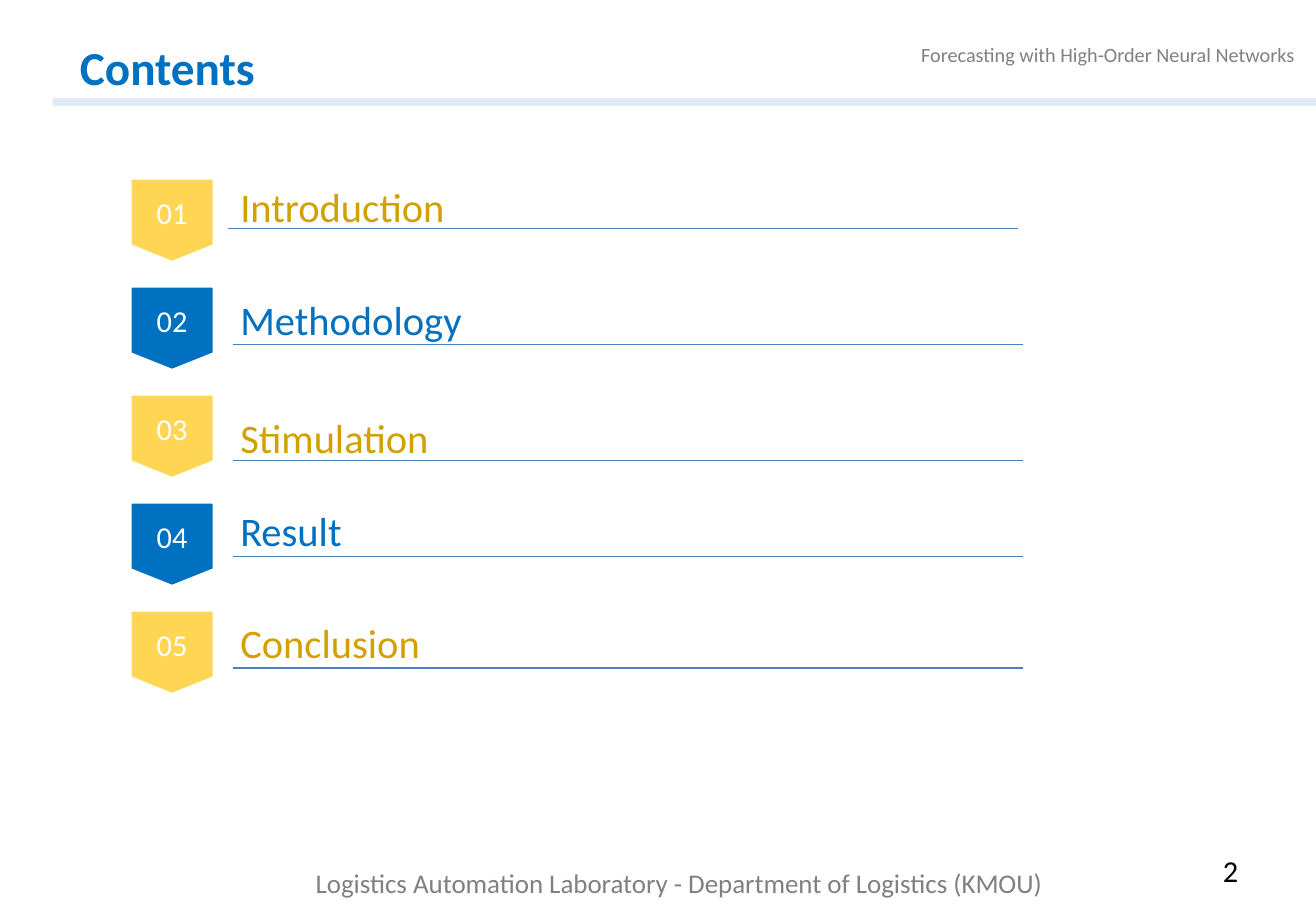
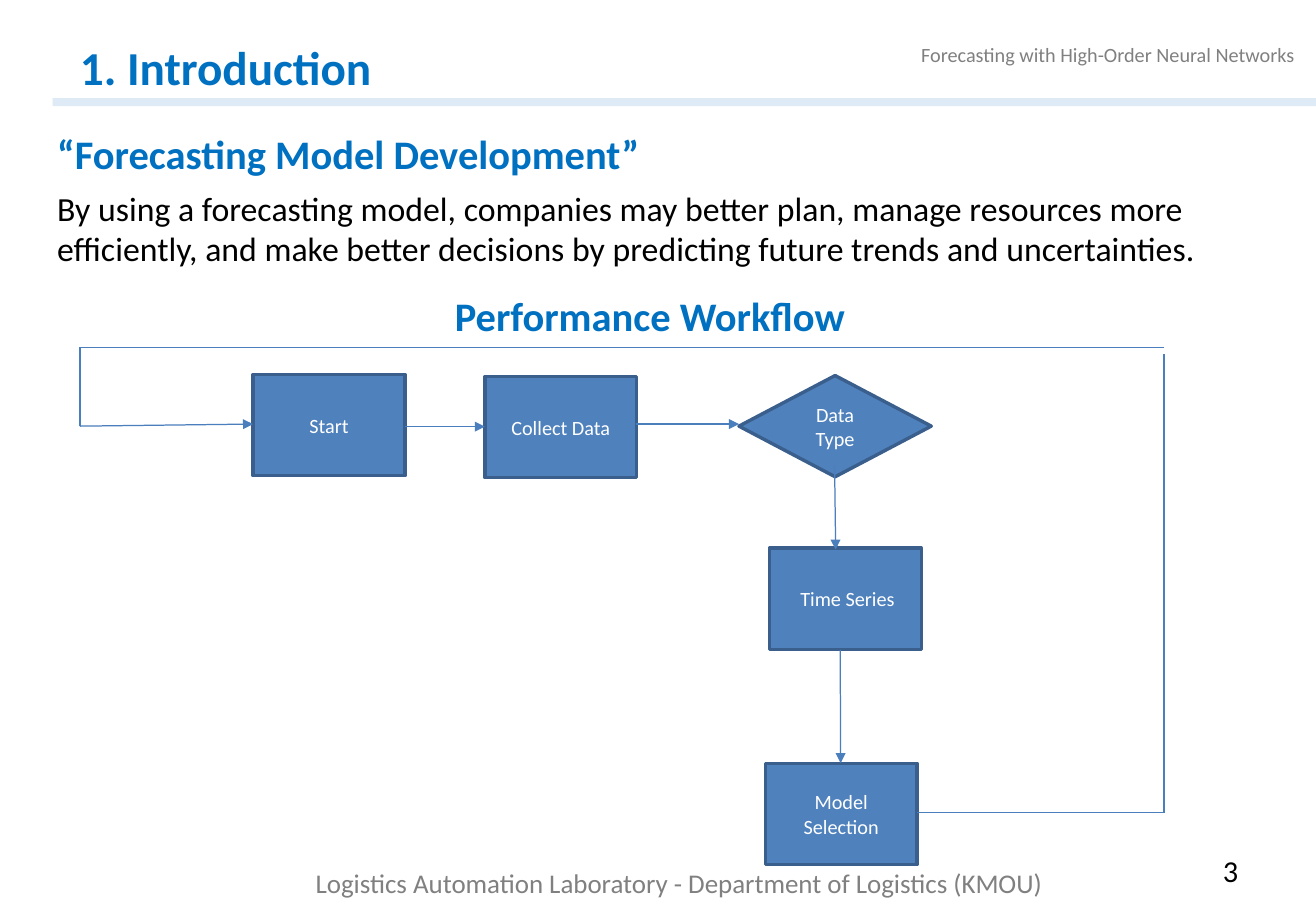
from lxml import etree
from pptx import Presentation
from pptx.dml.color import RGBColor
from pptx.enum.shapes import MSO_CONNECTOR, MSO_SHAPE
from pptx.enum.text import MSO_ANCHOR, MSO_AUTO_SIZE, PP_ALIGN
from pptx.oxml.ns import qn
from pptx.util import Emu, Inches, Pt

LEFT, CENTER, RIGHT, JUSTIFY = PP_ALIGN.LEFT, PP_ALIGN.CENTER, PP_ALIGN.RIGHT, PP_ALIGN.JUSTIFY
TOP, MIDDLE = MSO_ANCHOR.TOP, MSO_ANCHOR.MIDDLE
BAND = MSO_SHAPE.RECTANGLE
BADGE = MSO_SHAPE.FLOWCHART_OFFPAGE_CONNECTOR
PROCESS = MSO_SHAPE.FLOWCHART_PROCESS
DECISION = MSO_SHAPE.FLOWCHART_DECISION
STRAIGHT = MSO_CONNECTOR.STRAIGHT
NO_FIT = MSO_AUTO_SIZE.NONE

FONT = "Calibri"
BLUE, GOLD, YELLOW = "0070C0", "D2A000", "FFD653"
GREY, PALE, BLACK, WHITE = "808080", "DEEBF7", "000000", "FFFFFF"
BOX_FILL, BOX_EDGE, LINE = "4F81BD", "3A5F8C", "4B7EBC"

COLUMNS, ROWS = 130, 90
CELL = Inches(1) / 12

BADGE_LEFT, BADGE_TOP, BADGE_STEP, BADGE_SIZE = 13, 17.75, 10.67, 8
LABEL_LEFT, LABEL_WIDTH, LABEL_HEIGHT, RULE_WIDTH = 22.56, 77, 5, 78
CONTENTS = [
    ("Introduction", 17.9, 22.56, 22.56),
    ("Methodology", 29.05, 23.04, 34.05),
    ("Stimulation", 40.7, 23.04, 45.48),
    ("Result", 49.9, 23.04, 54.95),
    ("Conclusion", 61, 23.04, 66),
]

BOX_WIDTH, BOX_HEIGHT, DECISION_WIDTH = 15, 10, 19
STEPS = [
    ("Start", PROCESS, 25, 37, BOX_WIDTH),
    ("Collect Data", PROCESS, 47.9, 37.2, BOX_WIDTH),
    ("Data Type", DECISION, 73, 37.1, DECISION_WIDTH),
    (" Time Series", PROCESS, 76, 54.15, BOX_WIDTH),
    ("Model Selection", PROCESS, 75.6, 75.4, BOX_WIDTH),
]
ARROWS = [
    (40, 42.15, 47.9, 42.15),
    (62.8, 41.9, 73, 41.9),
    (82.45, 46, 82.55, 54.3),
    (83, 64.2, 83.05, 75.4),
    (7.9, 42.1, 25, 41.9),
]
FEEDBACK_LINES = [
    (90.6, 80.3, 115, 80.3),
    (115, 80.3, 115, 35),
    (115, 34.3, 7.9, 34.3),
    (7.9, 34.3, 7.9, 42.1),
]


def color(value):
    return RGBColor.from_string(value)


def cells(*values):
    return [Emu(round(value * CELL)) for value in values]


def format_paragraph(paragraph, size, font_color, align=LEFT, bold=False):
    paragraph.alignment = align
    for run in paragraph.runs:
        run.font.name = FONT
        run.font.size = Pt(size)
        run.font.bold = bold
        run.font.color.rgb = color(font_color)


def remove_insets(text_frame):
    text_frame.margin_left = text_frame.margin_right = 0
    text_frame.margin_top = Inches(0.01)
    text_frame.margin_bottom = 0


def add_text(slide, text, area, size, font_color, align=LEFT, bold=False, anchor=TOP):
    box = slide.shapes.add_textbox(*cells(*area))
    frame = box.text_frame
    frame.word_wrap = True
    frame.vertical_anchor = anchor
    frame.text = text
    format_paragraph(frame.paragraphs[0], size, font_color, align, bold)
    return box


def add_shape(slide, kind, area, fill, edge=None):
    shape = slide.shapes.add_shape(kind, *cells(*area))
    shape.shadow.inherit = False
    shape.fill.solid()
    shape.fill.fore_color.rgb = color(fill)
    if edge:
        shape.line.color.rgb = color(edge)
        shape.line.width = Pt(2)
    else:
        shape.line.fill.background()
    return shape


def add_labelled_shape(slide, kind, area, text, size, fill, edge=None):
    shape = add_shape(slide, kind, area, fill, edge)
    shape.text_frame.word_wrap = True
    shape.text_frame.vertical_anchor = MIDDLE
    shape.text_frame.text = text
    format_paragraph(shape.text_frame.paragraphs[0], size, WHITE, CENTER)


def add_line(slide, ends, arrow=False):
    connector = slide.shapes.add_connector(STRAIGHT, *cells(*ends))
    connector.line.color.rgb = color(LINE)
    connector.line.width = Pt(0.75)
    properties = connector.element.spPr
    if arrow:
        etree.SubElement(properties.find(qn("a:ln")), qn("a:tailEnd"), type="triangle")
    etree.SubElement(properties, qn("a:effectLst"))


def build_layout(layout, slide):
    for placeholder in list(layout.placeholders):
        if placeholder.placeholder_format.idx != 0:
            layout.shapes.element.remove(placeholder.element)
    shared = [
        add_shape(slide, BAND, (5.2, 9.7, COLUMNS - 5.2, 0.8), PALE),
        add_text(slide, "Logistics Automation Laboratory - Department of Logistics (KMOU)",
                 (30, 85, 91.2, 4.4), 16, GREY),
        add_text(slide, "Forecasting with High-Order Neural Networks",
                 (80, 3.6, 49.1, 3.6), 12, GREY, RIGHT),
    ]
    for shape in shared:
        layout.shapes.element.append(shape.element)


def add_slide(presentation, layout, title_text, number):
    slide = presentation.slides.add_slide(layout)
    title = slide.shapes.title
    title.left, title.top, title.width, title.height = cells(7.9, 3.7, 34, 5.9)
    frame = title.text_frame
    remove_insets(frame)
    frame.auto_size = NO_FIT
    frame.vertical_anchor = TOP
    frame.text = title_text
    format_paragraph(frame.paragraphs[0], 28, BLUE, bold=True)
    add_text(slide, str(number), (101.5, 83.6, 22, 4.6), 18, BLACK, RIGHT)
    return slide


def fill_contents(slide):
    for index, (label, label_top, rule_left, rule_top) in enumerate(CONTENTS):
        badge_color, label_color = (BLUE, BLUE) if index % 2 else (YELLOW, GOLD)
        badge_top = BADGE_TOP + index * BADGE_STEP
        add_labelled_shape(slide, BADGE, (BADGE_LEFT, badge_top, BADGE_SIZE, BADGE_SIZE),
                           f"{index + 1:02}", 18, badge_color)
        add_text(slide, label, (LABEL_LEFT, label_top, LABEL_WIDTH, LABEL_HEIGHT),
                 24, label_color, anchor=MIDDLE)
        add_line(slide, (rule_left, rule_top, rule_left + RULE_WIDTH, rule_top))


def fill_introduction(slide):
    body = add_text(slide, "“Forecasting Model Development”", (5.65, 12.6, 119.4, 18),
                    24, BLUE, JUSTIFY, bold=True)
    remove_insets(body.text_frame)
    body.text_frame.paragraphs[0].space_after = Pt(6)
    explanation = body.text_frame.add_paragraph()
    explanation.text = ("By using a forecasting model, companies may better plan, manage resources "
                        "more efficiently, and make better decisions by predicting future trends "
                        "and uncertainties.")
    format_paragraph(explanation, 20, BLACK)
    add_text(slide, "Performance Workflow", (31.7, 28.2, 65, 6), 24, BLUE, CENTER, bold=True)
    for text, kind, left, top, width in STEPS:
        add_labelled_shape(slide, kind, (left, top, width, BOX_HEIGHT), text, 12, BOX_FILL, BOX_EDGE)
    for ends in ARROWS:
        add_line(slide, ends, arrow=True)
    for ends in FEEDBACK_LINES:
        add_line(slide, ends)


def main():
    presentation = Presentation()
    presentation.slide_width, presentation.slide_height = cells(COLUMNS, ROWS)
    layout = presentation.slide_layouts[5]
    contents = add_slide(presentation, layout, "Contents", 2)
    build_layout(layout, contents)
    fill_contents(contents)
    fill_introduction(add_slide(presentation, layout, "1. Introduction", 3))
    presentation.save("out.pptx")


main()
